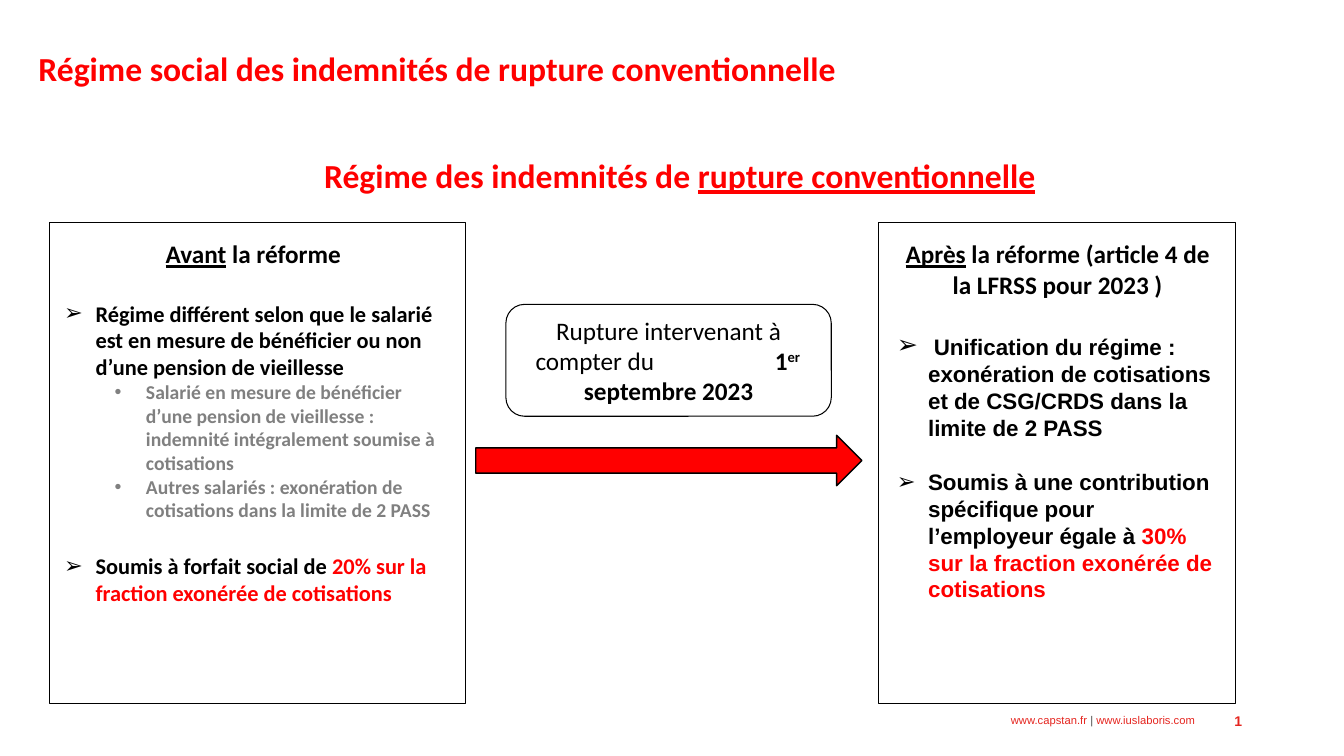
from lxml import etree
from pptx import Presentation
from pptx.dml.color import RGBColor
from pptx.enum.shapes import MSO_SHAPE
from pptx.enum.text import MSO_ANCHOR, PP_ALIGN
from pptx.oxml.ns import qn
from pptx.util import Cm, Pt

RECT, ROUNDED, ARROW = MSO_SHAPE.RECTANGLE, MSO_SHAPE.ROUNDED_RECTANGLE, MSO_SHAPE.RIGHT_ARROW
LEFT, CENTER, RIGHT = PP_ALIGN.LEFT, PP_ALIGN.CENTER, PP_ALIGN.RIGHT
TOP, MIDDLE = MSO_ANCHOR.TOP, MSO_ANCHOR.MIDDLE
COLORS = {"black": "000000", "red": "FF0000", "grey": "808080",
          "footer": "E5251F", "separator": "4A4A49"}
HEADING_GAP = 22


def rgb(name):
    """Return the named colour."""
    return RGBColor.from_string(COLORS[name])


def write(frame, *runs, align=LEFT, before=0, line=None, bullet=None, indent=0, tabs=(),
          size=18, font="Calibri", color="black", bold=False):
    """Add a paragraph of runs, each a string or a (string, overrides) pair."""
    first = frame.paragraphs[0]
    paragraph = frame.add_paragraph() if first.runs else first
    paragraph.alignment = align
    if before:
        paragraph.space_before = Pt(before)
    if line:
        paragraph.line_spacing = line
    properties = paragraph._p.get_or_add_pPr()
    if bullet:
        properties.set("marL", str(Cm(indent)))
        properties.set("indent", str(-Cm(0.79)))
        etree.SubElement(properties, qn("a:buFont"), typeface="Arial")
        etree.SubElement(properties, qn("a:buChar"), char=bullet)
    if tabs:
        stops = etree.SubElement(properties, qn("a:tabLst"))
        for position in tabs:
            etree.SubElement(stops, qn("a:tab"), pos=str(Cm(position)), algn="l")
    for item in runs:
        text, own = (item, {}) if isinstance(item, str) else item
        run = paragraph.add_run()
        run.text = text
        run.font.size = Pt(own.get("size", size))
        run.font.name = own.get("font", font)
        run.font.bold = own.get("bold", bold)
        run.font.underline = own.get("underline", False)
        run.font.color.rgb = rgb(own.get("color", color))
        if "baseline" in own:
            run._r.get_or_add_rPr().set("baseline", str(own["baseline"]))


def add_frame(slide, box, anchor=TOP):
    """Add a wrapping text box and return its text frame."""
    frame = slide.shapes.add_textbox(*map(Cm, box)).text_frame
    frame.word_wrap = True
    frame.vertical_anchor = anchor
    return frame


def add_outline(slide, kind, box, fill=None, weight=0.75):
    """Add a black-lined shape, filled or hollow."""
    shape = slide.shapes.add_shape(kind, *map(Cm, box))
    shape.shadow.inherit = False
    if fill:
        shape.fill.solid()
        shape.fill.fore_color.rgb = rgb(fill)
    else:
        shape.fill.background()
    shape.line.color.rgb = rgb("black")
    shape.line.width = Pt(weight)
    return shape


def add_card(slide, box, pad, text_width):
    """Add a framed column and return its text frame."""
    left, top, _, height = box
    add_outline(slide, RECT, box)
    return add_frame(slide, (left + pad, top + 0.28, text_width, height - 0.56))


def add_headings(slide, box):
    """Write the slide title and the heading above the columns."""
    left, top, width, height = box
    title = add_frame(slide, (left, top, width, height), MIDDLE)
    title.margin_left = 0
    write(title, "Régime social des indemnités de rupture conventionnelle",
          size=24, color="red", bold=True)
    subject = add_frame(slide, (left + 6.95, top + 3.25, 21.54, 1.27))
    write(subject, "Régime des indemnités de ", ("rupture conventionnelle", {"underline": True}),
          size=24, color="red", bold=True)


def add_before(slide, box):
    """Describe the rules before the reform."""
    frame = add_card(slide, box, 0.13, 10.03)
    write(frame, ("Avant", {"underline": True}), " la réforme", align=CENTER, bold=True)
    point = {"bullet": "➢", "indent": 0.79, "size": 16, "bold": True, "before": HEADING_GAP}
    write(frame, "Régime différent selon que le salarié est en mesure de bénéficier "
          "ou non d’une pension de vieillesse", **point)
    for case in (
        "Salarié en mesure de bénéficier d’une pension de vieillesse : "
        "indemnité intégralement soumise à cotisations",
        "Autres salariés : exonération de cotisations dans la limite de 2 PASS",
    ):
        write(frame, case, bullet="•", indent=2.06, size=14, color="grey", bold=True)
    write(frame, "Soumis à forfait social de ",
          ("20% sur la fraction exonérée de cotisations", {"color": "red"}), **point)


def add_after(slide, box):
    """Describe the rules after the reform."""
    frame = add_card(slide, box, 0.2, 8.61)
    write(frame, ("Après", {"underline": True}),
          " la réforme (article 4 de la LFRSS pour 2023 )", align=CENTER, bold=True)
    point = {"bullet": "➢", "indent": 0.79, "size": 16, "font": "Arial", "bold": True}
    write(frame, (" ", {"size": 18, "font": "Calibri"}),
          "Unification du régime : exonération de cotisations et de CSG/CRDS "
          "dans la limite de 2 PASS", before=HEADING_GAP, **point)
    write(frame, "Soumis à une contribution spécifique pour l’employeur égale à ",
          ("30% sur la fraction exonérée de cotisations", {"color": "red"}), before=19.5, **point)


def add_transition(slide, box):
    """Place the effective date above the arrow joining the columns."""
    left, top, width, height = box
    add_outline(slide, ARROW, (left, top + height - 1.27, width, 1.27), "red", 1)
    label = add_outline(slide, ROUNDED, (left + 0.76, top, 8.2, 2.82))
    frame = label.text_frame
    frame.word_wrap = True
    frame.vertical_anchor = MIDDLE
    write(frame, "Rupture intervenant à", align=CENTER)
    write(frame, "\tcompter du\t", ("1", {"bold": True}),
          ("er", {"bold": True, "baseline": 30000}), tabs=(0.36, 6.39))
    write(frame, "septembre 2023", align=CENTER, bold=True)


def add_footer(slide, box):
    """Write the web addresses and the page number."""
    left, top, width, height = box
    sites = add_frame(slide, (left, top + 0.1, width - 1.43, height - 0.2), MIDDLE)
    sites.margin_right = 0
    write(sites, "www.capstan.fr ", ("| ", {"color": "separator"}), "www.iuslaboris.com",
          align=RIGHT, line=0.9, size=8, font="Arial", color="footer")
    page = add_frame(slide, (left + width - 7.62, top, 7.62, height), MIDDLE)
    write(page, "1", align=RIGHT, size=10, font="Arial", color="footer", bold=True)


def main():
    """Build and save the slide."""
    deck = Presentation()
    deck.slide_width, deck.slide_height = Cm(33.87), Cm(19.05)
    slide = deck.slides.add_slide(deck.slide_layouts[6])
    add_footer(slide, (18.36, 17.65, 13.19, 1.02))
    add_headings(slide, (0.97, 0.53, 32.89, 2.39))
    add_before(slide, (1.24, 5.61, 10.49, 12.12))
    add_after(slide, (22.15, 5.61, 8.99, 12.12))
    add_transition(slide, (11.99, 7.67, 9.73, 4.57))
    deck.save("out.pptx")


if __name__ == "__main__":
    main()
